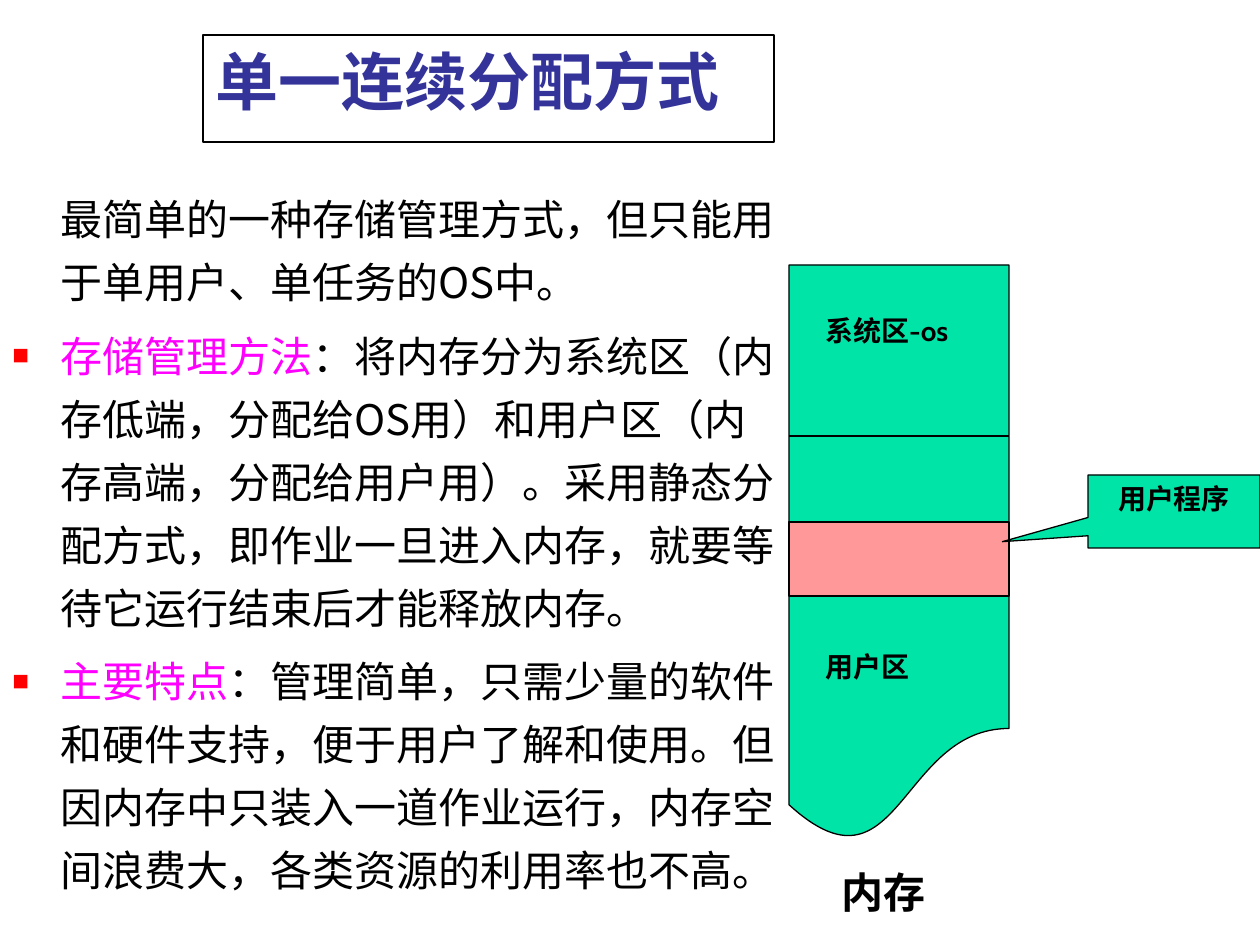
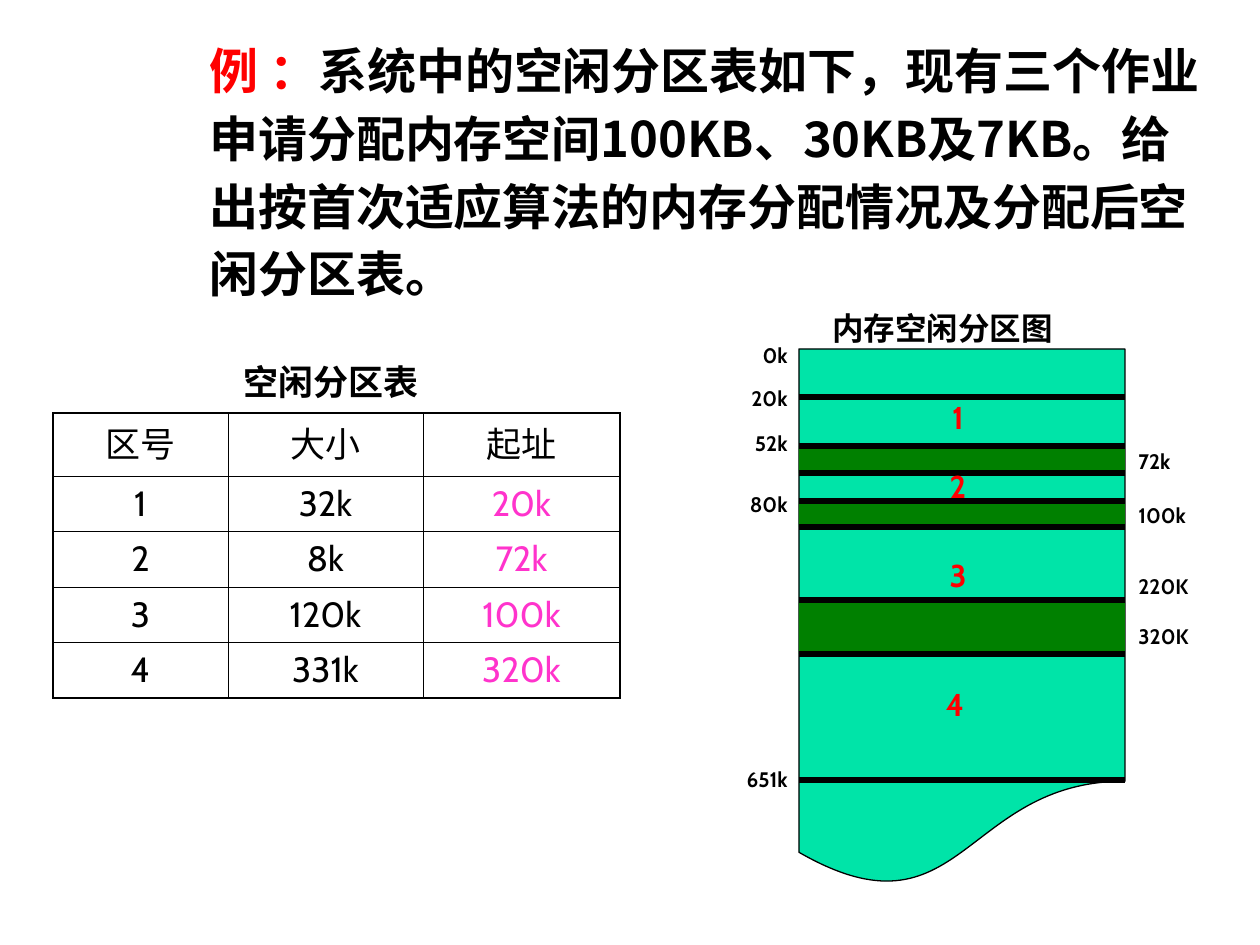
from dataclasses import dataclass

from lxml.etree import SubElement
from pptx import Presentation
from pptx.dml.color import RGBColor
from pptx.enum.shapes import MSO_CONNECTOR, MSO_SHAPE
from pptx.enum.text import MSO_ANCHOR, MSO_AUTO_SIZE, PP_ALIGN
from pptx.oxml import parse_xml
from pptx.oxml.ns import nsdecls, qn
from pptx.util import Emu, Pt


@dataclass(frozen=True)
class Theme:
    ink: str = "000000"
    paper: str = "FFFFFF"
    title: str = "333399"
    term: str = "FF00FF"
    alert: str = "FF0000"
    address: str = "FF33CC"
    memory: str = "00E4A8"
    program: str = "FF9999"
    used: str = "008000"
    text_font: str = "Noto Sans CJK SC"
    label_font: str = "Cabin"
    serif_font: str = "Times New Roman"
    title_size: int = 36
    question_size: int = 28
    body_size: int = 24
    table_size: int = 20
    number_size: int = 18
    label_size: int = 16
    tick_size: int = 12
    thin: float = 0.75
    thick: float = 3
    outer_border: float = 1.08
    inner_border: float = 0.45


THEME = Theme()
PX = 914400 / 126
SLIDE_SIZE = (1260, 945)

# Slide 1: single contiguous allocation
TITLE = "单一连续分配方式"
TITLE_BOX = (203, 35, 571, 107)
BODY_BOX = (0, 175, 799, 770)
BODY = [
    ("", "最简单的一种存储管理方式，但只能用于单用户、单任务的OS中。"),
    ("存储管理方法", "：将内存分为系统区（内存低端，分配给OS用）和用户区（内存高端，分配给用户用）。"
     "采用静态分配方式，即作业一旦进入内存，就要等待它运行结束后才能释放内存。"),
    ("主要特点", "：管理简单，只需少量的软件和硬件支持，便于用户了解和使用。"
     "但因内存中只装入一道作业运行，内存空间浪费大，各类资源的利用率也不高。"),
]
MEMORY_BOX = (789, 265, 220, 578)
SYSTEM_END = 436
PROGRAM_BOX = (789, 522, 220, 74)
CALLOUT_BOX = (1088, 475, 172, 73)
CALLOUT_TIP = (-0.998, 0.414)
PROGRAM_NAME = "用户程序"
MEMORY_LABELS = [
    ("系统区-os", (813, 307, 172, 46), THEME.label_size),
    ("用户区", (813, 643, 126, 46), THEME.label_size),
    ("内存", (829, 861, 126, 62), THEME.body_size),
]

# Slide 2: first-fit exercise
QUESTION_BOX = (197, 26, 1018, 283)
QUESTION = [
    ("例 ：", THEME.alert),
    ("系统中的空闲分区表如下，现有三个作业申请分配内存空间100KB、30KB及7KB。"
     "给出按首次适应算法的内存分配情况及分配后空闲分区表。", THEME.ink),
]
TABLE_CAPTION = ("空闲分区表", (137, 354, 388, 55))
TABLE_BOX = (53, 413, 567, 285)
COLUMN_WIDTHS = (175, 195, 197)
HEADER_HEIGHT = 63
FREE_TABLE = [
    ("区号", "大小", "起址"),
    ("1", "32k", "20k"),
    ("2", "8k", "72k"),
    ("3", "120k", "100k"),
    ("4", "331k", "320k"),
]
MAP_CAPTION = ("内存空闲分区图", (820, 303, 280, 50))
MAP_BOX = (799, 349, 326, 539)
USED_BLOCKS = [(446, 473), (501, 527), (600, 654)]
FREE_EDGES = [397, 780]
LEFT_TICKS = [("0k", 355), ("20k", 398), ("52k", 443), ("80k", 504), ("651k", 779)]
RIGHT_TICKS = [("72k", 461), ("100k", 515), ("220K", 586), ("320K", 636)]
FREE_NUMBERS = [("1", 958, 417), ("2", 958, 486), ("3", 958, 575), ("4", 955, 704)]
TICK_SIZE = (100, 30)
NUMBER_SIZE = (44, 50)


def px(length):
    return Emu(round(length * PX))


def place(box):
    return [px(length) for length in box]


def apply(target, values):
    for name, value in values.items():
        setattr(target, name, value)


def set_frame(frame, anchor=MSO_ANCHOR.TOP, wrap=True):
    apply(frame, {
        "word_wrap": wrap, "auto_size": MSO_AUTO_SIZE.NONE, "vertical_anchor": anchor,
        "margin_left": Pt(7.2), "margin_right": Pt(7.2),
        "margin_top": Pt(3.6), "margin_bottom": Pt(3.6),
    })


def add_run(paragraph, text, size, color=THEME.ink, font=THEME.label_font, bold=True):
    run = paragraph.add_run()
    run.text = text
    apply(run.font, {"size": Pt(size), "bold": bold, "name": font})
    run.font.color.rgb = RGBColor.from_string(color)
    chinese_font = THEME.text_font if font == THEME.serif_font else font
    SubElement(run.font._element, qn("a:ea")).set("typeface", chinese_font)


def add_label(slide, text, box, size, align=PP_ALIGN.LEFT, wrap=True, **style):
    frame = slide.shapes.add_textbox(*place(box)).text_frame
    set_frame(frame, MSO_ANCHOR.MIDDLE, wrap)
    frame.paragraphs[0].alignment = align
    add_run(frame.paragraphs[0], text, size, **style)


def paint(shape, fill, line=THEME.ink):
    shape.shadow.inherit = False
    shape.fill.solid()
    shape.fill.fore_color.rgb = RGBColor.from_string(fill)
    if line:
        shape.line.color.rgb = RGBColor.from_string(line)
        shape.line.width = Pt(THEME.thin)
    else:
        shape.line.fill.background()


def add_block(slide, kind, box, fill, line=THEME.ink):
    shape = slide.shapes.add_shape(kind, *place(box))
    paint(shape, fill, line)
    return shape


def add_divider(slide, memory_box, y, width):
    left, _, length, _ = memory_box
    ends = place((left, y, left + length, y))
    divider = slide.shapes.add_connector(MSO_CONNECTOR.STRAIGHT, *ends)
    divider.line.color.rgb = RGBColor.from_string(THEME.ink)
    divider.line.width = Pt(width)
    SubElement(divider._element.spPr, qn("a:effectLst"))


def add_bullet(paragraph):
    properties = paragraph._p.get_or_add_pPr()
    for xml in (
        f'<a:buClr {nsdecls("a")}><a:srgbClr val="{THEME.alert}"/></a:buClr>',
        f'<a:buSzPct {nsdecls("a")} val="40000"/>',
        f'<a:buFont {nsdecls("a")} typeface="{THEME.text_font}"/>',
        f'<a:buChar {nsdecls("a")} char="■"/>',
    ):
        properties.append(parse_xml(xml))
    properties.set("indent", str(-px(48)))


def add_body(slide):
    frame = slide.shapes.add_textbox(*place(BODY_BOX)).text_frame
    set_frame(frame)
    for index, (term, explanation) in enumerate(BODY):
        paragraph = frame.add_paragraph() if index else frame.paragraphs[0]
        paragraph._p.get_or_add_pPr().set("marL", str(px(48)))
        if term:
            add_bullet(paragraph)
            add_run(paragraph, term, THEME.body_size, THEME.term, THEME.text_font, False)
        add_run(paragraph, explanation, THEME.body_size, THEME.ink, THEME.text_font, False)
        apply(paragraph, {"line_spacing": Pt(36), "space_before": Pt(6 if index else 0)})


def border_cell(cell, widths):
    """Draw the cell's edges; widths maps L, R, T and B to points."""
    properties = cell._tc.get_or_add_tcPr()
    for index, (side, width) in enumerate(widths.items()):
        properties.insert(index, parse_xml(
            f'<a:ln{side} {nsdecls("a")} w="{Pt(width)}"><a:solidFill>'
            f'<a:srgbClr val="{THEME.ink}"/></a:solidFill></a:ln{side}>'))


def add_free_table(slide):
    last_row, last_column = len(FREE_TABLE) - 1, len(COLUMN_WIDTHS) - 1
    table = slide.shapes.add_table(last_row + 1, last_column + 1, *place(TABLE_BOX)).table
    apply(table, {"first_row": False, "horz_banding": False})
    for column, width in zip(table.columns, COLUMN_WIDTHS):
        column.width = px(width)
    for r, values in enumerate(FREE_TABLE):
        row_height = (TABLE_BOX[3] - HEADER_HEIGHT) / last_row if r else HEADER_HEIGHT
        table.rows[r].height = px(row_height)
        for c, value in enumerate(values):
            cell = table.cell(r, c)
            cell.fill.background()
            cell.vertical_anchor = MSO_ANCHOR.MIDDLE
            outer = {"L": c == 0, "R": c == last_column, "T": r == 0, "B": r == last_row}
            border_cell(cell, {side: THEME.outer_border if edge else THEME.inner_border
                               for side, edge in outer.items()})
            paragraph = cell.text_frame.paragraphs[0]
            paragraph.alignment = PP_ALIGN.CENTER
            color = THEME.address if r and c == last_column else THEME.ink
            add_run(paragraph, value, THEME.table_size, color, bold=False)


def build_single_allocation(deck):
    slide = deck.slides.add_slide(deck.slide_layouts[5])
    title = slide.shapes.title
    apply(title, dict(zip(("left", "top", "width", "height"), place(TITLE_BOX))))
    paint(title, THEME.paper)
    set_frame(title.text_frame)
    heading = title.text_frame.paragraphs[0]
    apply(heading, {"alignment": PP_ALIGN.LEFT, "line_spacing": Pt(44)})
    add_run(heading, TITLE, THEME.title_size, THEME.title, THEME.text_font)
    add_body(slide)

    add_block(slide, MSO_SHAPE.FLOWCHART_DOCUMENT, MEMORY_BOX, THEME.memory)
    add_divider(slide, MEMORY_BOX, SYSTEM_END, THEME.thin)
    add_block(slide, MSO_SHAPE.RECTANGLE, PROGRAM_BOX, THEME.program)
    callout = add_block(slide, MSO_SHAPE.RECTANGULAR_CALLOUT, CALLOUT_BOX, THEME.memory)
    for index, offset in enumerate(CALLOUT_TIP):
        callout.adjustments[index] = offset
    set_frame(callout.text_frame)
    callout.text_frame.paragraphs[0].alignment = PP_ALIGN.CENTER
    add_run(callout.text_frame.paragraphs[0], PROGRAM_NAME, THEME.label_size)
    for text, box, size in MEMORY_LABELS:
        add_label(slide, text, box, size)


def build_first_fit(deck):
    slide = deck.slides.add_slide(deck.slide_layouts[6])
    add_free_table(slide)
    add_label(slide, *TABLE_CAPTION, THEME.table_size, PP_ALIGN.CENTER)
    question = add_block(slide, MSO_SHAPE.RECTANGLE, QUESTION_BOX, THEME.paper, line=None)
    set_frame(question.text_frame)
    paragraph = question.text_frame.paragraphs[0]
    apply(paragraph, {"alignment": PP_ALIGN.LEFT, "line_spacing": Pt(38.6)})
    for text, color in QUESTION:
        add_run(paragraph, text, THEME.question_size, color, THEME.text_font)

    left, _, width, _ = MAP_BOX
    add_block(slide, MSO_SHAPE.FLOWCHART_DOCUMENT, MAP_BOX, THEME.memory)
    add_label(slide, *MAP_CAPTION, THEME.number_size, font=THEME.serif_font)
    for top, bottom in USED_BLOCKS:
        block = (left, top, width, bottom - top)
        add_block(slide, MSO_SHAPE.RECTANGLE, block, THEME.used, line=None)
    for y in FREE_EDGES + [edge for block in USED_BLOCKS for edge in block]:
        add_divider(slide, MAP_BOX, y, THEME.thick)

    tick_width, tick_height = TICK_SIZE
    for ticks, x, align in (
        (LEFT_TICKS, left + 1 - tick_width, PP_ALIGN.RIGHT),
        (RIGHT_TICKS, left + width + 1, PP_ALIGN.LEFT),
    ):
        for text, y in ticks:
            box = (x, y - tick_height / 2, tick_width, tick_height)
            add_label(slide, text, box, THEME.tick_size, align)
    number_width, number_height = NUMBER_SIZE
    for text, x, y in FREE_NUMBERS:
        box = (x - number_width / 2, y - number_height / 2, number_width, number_height)
        add_label(slide, text, box, THEME.number_size, PP_ALIGN.CENTER, False,
                  color=THEME.alert)


def main():
    deck = Presentation()
    deck.slide_width, deck.slide_height = place(SLIDE_SIZE)
    build_single_allocation(deck)
    build_first_fit(deck)
    deck.save("out.pptx")


if __name__ == "__main__":
    main()
